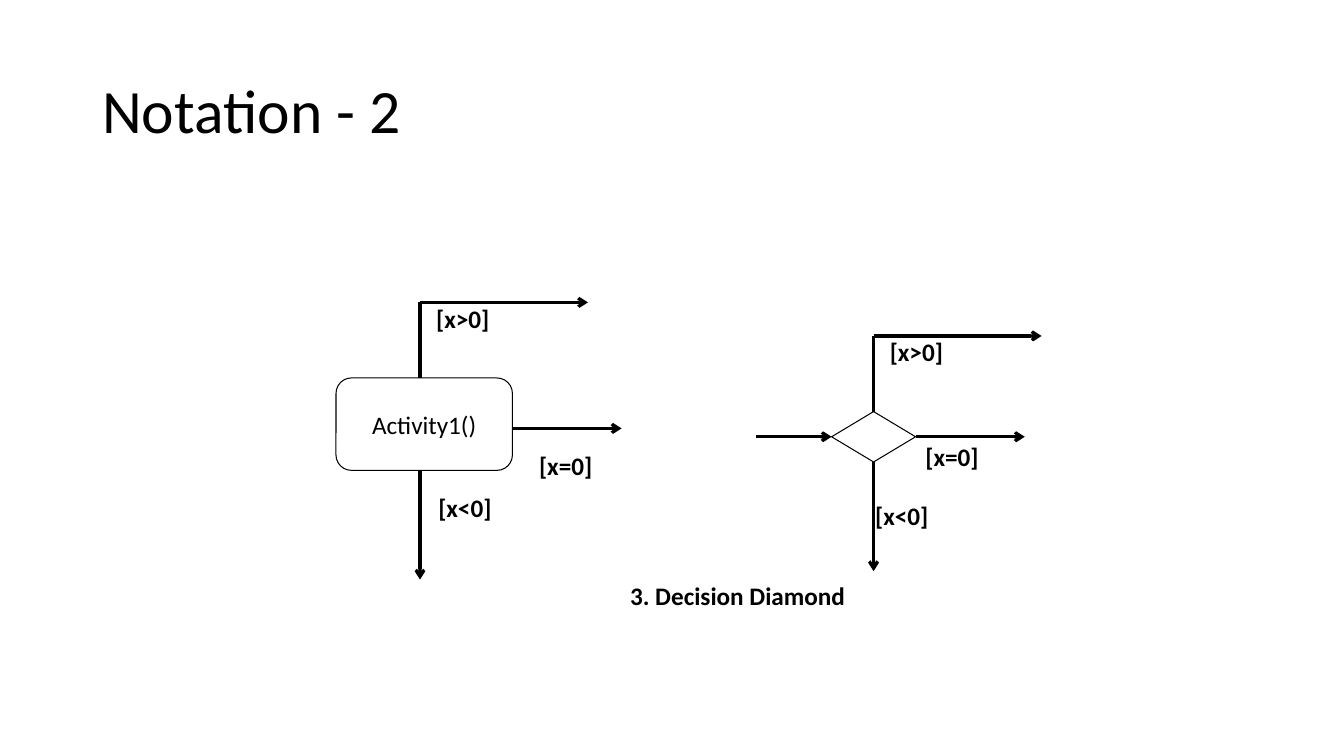
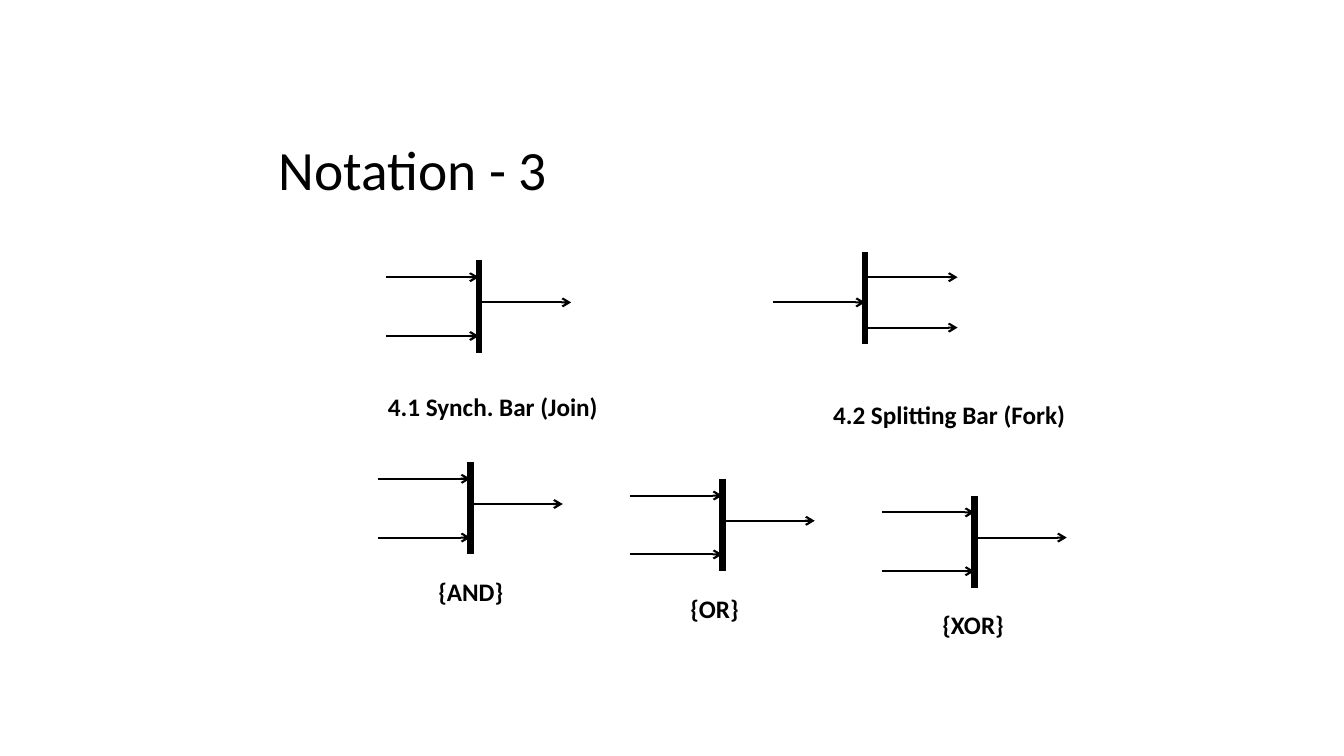
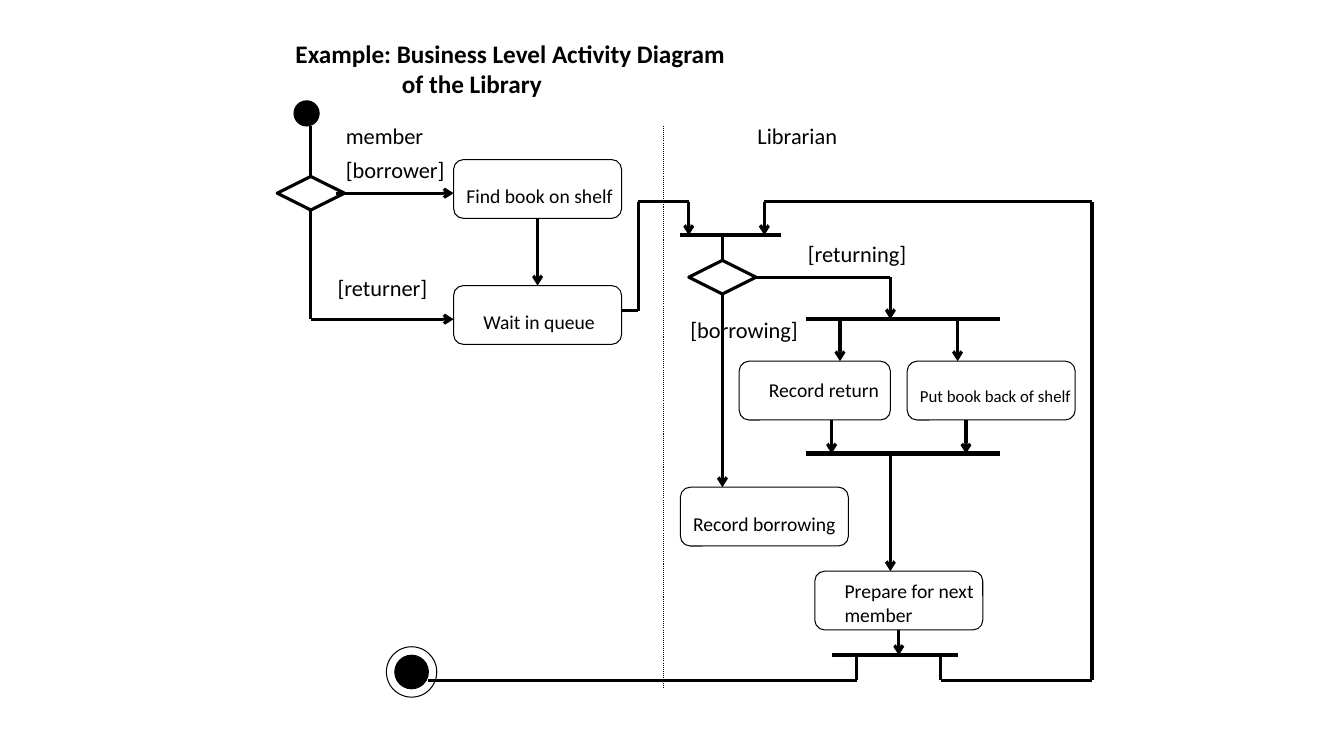
from dataclasses import dataclass
from itertools import pairwise

from lxml.etree import SubElement
from pptx import Presentation
from pptx.dml.color import RGBColor
from pptx.enum.dml import MSO_LINE
from pptx.enum.shapes import MSO_CONNECTOR, MSO_SHAPE
from pptx.enum.text import MSO_ANCHOR, MSO_AUTO_SIZE, PP_ALIGN
from pptx.oxml.ns import qn
from pptx.util import Pt

TOP, LEFT, BOTTOM, RIGHT = range(4)


@dataclass(frozen=True)
class Theme:
    font: str = "Calibri"
    ink: RGBColor = RGBColor(0, 0, 0)
    paper: RGBColor = RGBColor(255, 255, 255)
    title: float = 44
    small_title: float = 39.6
    caption: float = 18
    label: float = 16
    step: float = 14
    small_step: float = 12
    outline: float = 0.75
    thin: float = 1.5
    flow: float = 2.25
    sync: float = 3
    bar: float = 4.5


class Diagram:
    """Draws activity diagram elements on the current slide, in points."""

    def __init__(self, theme):
        self.theme = theme
        self.deck = Presentation()
        self.deck.slide_width, self.deck.slide_height = Pt(960), Pt(540)
        self.slide = None

    def new_slide(self):
        self.slide = self.deck.slides.add_slide(self.deck.slide_layouts[6])

    def set_text(self, frame, text, size, bold=False):
        frame.text = text
        for para in frame.paragraphs:
            for span in para.runs:
                span.font.name = self.theme.font
                span.font.size = Pt(size)
                span.font.bold = bold
                span.font.color.rgb = self.theme.ink

    def title(self, text, left, top, width, height, size):
        box = self.slide.shapes.add_textbox(Pt(left), Pt(top), Pt(width), Pt(height))
        frame = box.text_frame
        frame.word_wrap = True
        frame.vertical_anchor = MSO_ANCHOR.MIDDLE
        self.set_text(frame, text, size)
        frame.paragraphs[0].line_spacing = 0.9

    def label(self, text, left, top, width, size, bold=False):
        box = self.slide.shapes.add_textbox(Pt(left), Pt(top), Pt(width), Pt(size * 1.2 + 7.2))
        frame = box.text_frame
        frame.word_wrap = False
        frame.auto_size = MSO_AUTO_SIZE.SHAPE_TO_FIT_TEXT
        self.set_text(frame, text, size, bold)
        return frame

    def caption(self, text, left, top, width=54.72):
        return self.label(text, left, top, width, self.theme.caption, bold=True)

    def shape(self, kind, left, top, width, height, fill=None, weight=None):
        shape = self.slide.shapes.add_shape(kind, Pt(left), Pt(top), Pt(width), Pt(height))
        shape.shadow.inherit = False
        shape.fill.solid()
        shape.fill.fore_color.rgb = fill or self.theme.paper
        shape.line.color.rgb = self.theme.ink
        shape.line.width = Pt(weight or self.theme.outline)
        return shape

    def diamond(self, left, top, width, height, weight=None):
        return self.shape(MSO_SHAPE.DIAMOND, left, top, width, height, weight=weight)

    def circle(self, left, top, size, fill=None):
        return self.shape(MSO_SHAPE.OVAL, left, top, size, size, fill)

    def activity(self, text, left, top, width=120, height=42, inset=None, size=None):
        box = self.shape(MSO_SHAPE.ROUNDED_RECTANGLE, left, top, width, height)
        box.adjustments[0] = 0.167
        frame = box.text_frame
        self.set_text(frame, text, size or self.theme.step)
        frame.word_wrap = True
        frame.vertical_anchor = MSO_ANCHOR.TOP if inset else MSO_ANCHOR.MIDDLE
        if inset:
            frame.margin_left, frame.margin_top = Pt(inset[0] + 7.2), Pt(inset[1] + 3.6)
            frame.margin_right = frame.margin_bottom = 0
        for para in frame.paragraphs:
            para.alignment = PP_ALIGN.LEFT if inset else PP_ALIGN.CENTER
        return box

    def line(self, start, end, weight, arrow=False, dash=None):
        line = self.slide.shapes.add_connector(
            MSO_CONNECTOR.STRAIGHT, *(Pt(value) for value in (*start, *end)))
        line.line.color.rgb = self.theme.ink
        line.line.width = Pt(weight)
        if dash:
            line.line.dash_style = dash
        if arrow:
            SubElement(line.line._get_or_add_ln(), qn("a:tailEnd"), type="arrow")
        SubElement(line._element.spPr, qn("a:effectLst"))
        return line

    def route(self, *points, arrow=True, begin=None, end=None):
        legs = list(pairwise(points))
        lines = [self.line(*leg, self.theme.flow, arrow and index == len(legs) - 1)
                 for index, leg in enumerate(legs)]
        if begin:
            lines[0].begin_connect(*begin)
        if end:
            lines[-1].end_connect(*end)

    def bar(self, x, top, arriving, leaving, length=66):
        self.line((x, top), (x, top + length), self.theme.bar)
        for offset in arriving:
            y = top + offset
            self.line((x - length, y), (x, y), self.theme.thin, arrow=True)
        for offset in leaving:
            y = top + offset
            self.line((x, y), (x + length, y), self.theme.thin, arrow=True)

    def sync_line(self, left, right, y):
        self.line((left, y), (right, y), self.theme.sync)


def draw_decisions(page):
    theme = page.theme
    page.new_slide()
    page.title("Notation - 2", 66, 29, 828, 104, theme.title)

    page.activity("Activity1()", 240, 270, 126, 66, size=theme.caption)
    page.route((300, 336), (300, 414))
    page.route((300, 270), (300, 216), (420, 216))
    page.route((366, 306), (444, 306))

    decision = page.diamond(594, 294, 60, 36)
    page.route((624, 294), (624, 240), (744, 240), begin=(decision, TOP))
    page.route((654, 312), (732, 312), begin=(decision, RIGHT))
    page.route((624, 330), (624, 408), begin=(decision, BOTTOM))
    page.route((540, 312), (594, 312), end=(decision, LEFT))

    for text, left, top in (
        ("[x>0]", 304.5, 213), ("[x=0]", 378, 318), ("[x<0]", 306, 348),
        ("[x>0]", 628.5, 237), ("[x=0]", 654, 312), ("[x<0]", 618, 354),
    ):
        page.caption(text, left, top)
    page.caption("3. Decision Diamond", 443, 411, 172.8)


def draw_bars(page):
    page.new_slide()
    page.title("Notation - 3", 192, 96, 612, 54, page.theme.small_title)

    join = {"arriving": (12, 54), "leaving": (30,)}
    page.bar(342, 186, **join)
    page.caption("4.1 Synch. Bar (Join)", 270, 276, 165.6)
    page.bar(618, 180, arriving=(36,), leaving=(18, 54))
    page.caption("4.2 Splitting Bar (Fork)", 588, 282, 182.16)

    for index, (text, width) in enumerate((("{AND}", 61.92), ("{OR}", 49.68), ("{XOR}", 59.04))):
        x, top = 336 + 180 * index, 330 + 12 * index
        page.bar(x, top, **join)
        page.caption(text, x - 30, top + 78, width)


def draw_library(page):
    theme = page.theme
    page.new_slide()
    heading = page.caption(
        "Example: Business Level Activity Diagram\nof the Library", 204, 24, 328.32)
    heading.paragraphs[1]._p.get_or_add_pPr().set("marL", str(Pt(76)))
    page.line((474, 90), (474, 492), theme.outline, dash=MSO_LINE.ROUND_DOT)

    page.circle(210, 72, 18, theme.ink)
    page.circle(276, 462, 36)
    page.circle(282, 468, 24, theme.ink)
    member_choice = page.diamond(198, 126, 48, 24, theme.flow)
    librarian_choice = page.diamond(492, 186, 48, 24, theme.flow)

    find = page.activity("Find book on shelf", 324, 114, inset=(0, 12))
    wait = page.activity("Wait in queue", 324, 204, inset=(12, 12))
    prepare = page.activity("Prepare for next\nmember", 582, 408, inset=(12, 0))
    page.activity("Record borrowing", 486, 348, inset=(0, 12))
    page.activity("Record return", 528, 258, 108, inset=(12, 6))
    page.activity("Put book back of shelf", 648, 258, inset=(0, 12), size=theme.small_step)

    for left, right, y in ((486, 558, 168), (576, 714, 228), (576, 714, 324), (594, 684, 468)):
        page.sync_line(left, right, y)

    page.route((222, 126), (222, 90), arrow=False, begin=(member_choice, TOP))
    page.route((240, 138), (324, 138))
    page.route((222, 150), (222, 228), (324, 228), begin=(member_choice, BOTTOM))
    page.route((384, 156), (384, 204), begin=(find, BOTTOM), end=(wait, TOP))
    page.route((444, 222), (456, 222), (456, 144), (492, 144), (492, 168))

    page.route((516, 168), (516, 186), arrow=False, end=(librarian_choice, TOP))
    page.route((540, 198), (636, 198), (636, 228), begin=(librarian_choice, RIGHT))
    page.route((516, 210), (516, 348), begin=(librarian_choice, BOTTOM))
    for x, top, bottom in (
        (600, 228, 258), (684, 228, 258), (594, 300, 324), (690, 300, 324), (636, 324, 408),
    ):
        page.route((x, top), (x, bottom))

    page.route((642, 450), (642, 468), begin=(prepare, BOTTOM))
    page.route((612, 468), (612, 486), (306, 486), arrow=False)
    page.route((672, 468), (672, 486), (780, 486), (780, 144), (546, 144), (546, 168))

    for text, left, top, width in (
        ("member", 240, 84, 70.56), ("Librarian", 534, 84, 74.16),
        ("[borrower]", 240, 108, 86.4), ("[returner]", 234, 192, 79.92),
        ("[returning]", 570, 168, 85.68), ("[borrowing]", 486, 222, 92.16),
    ):
        page.label(text, left, top, width, theme.label)


def main():
    page = Diagram(Theme())
    draw_decisions(page)
    draw_bars(page)
    draw_library(page)
    page.deck.save("out.pptx")


if __name__ == "__main__":
    main()
